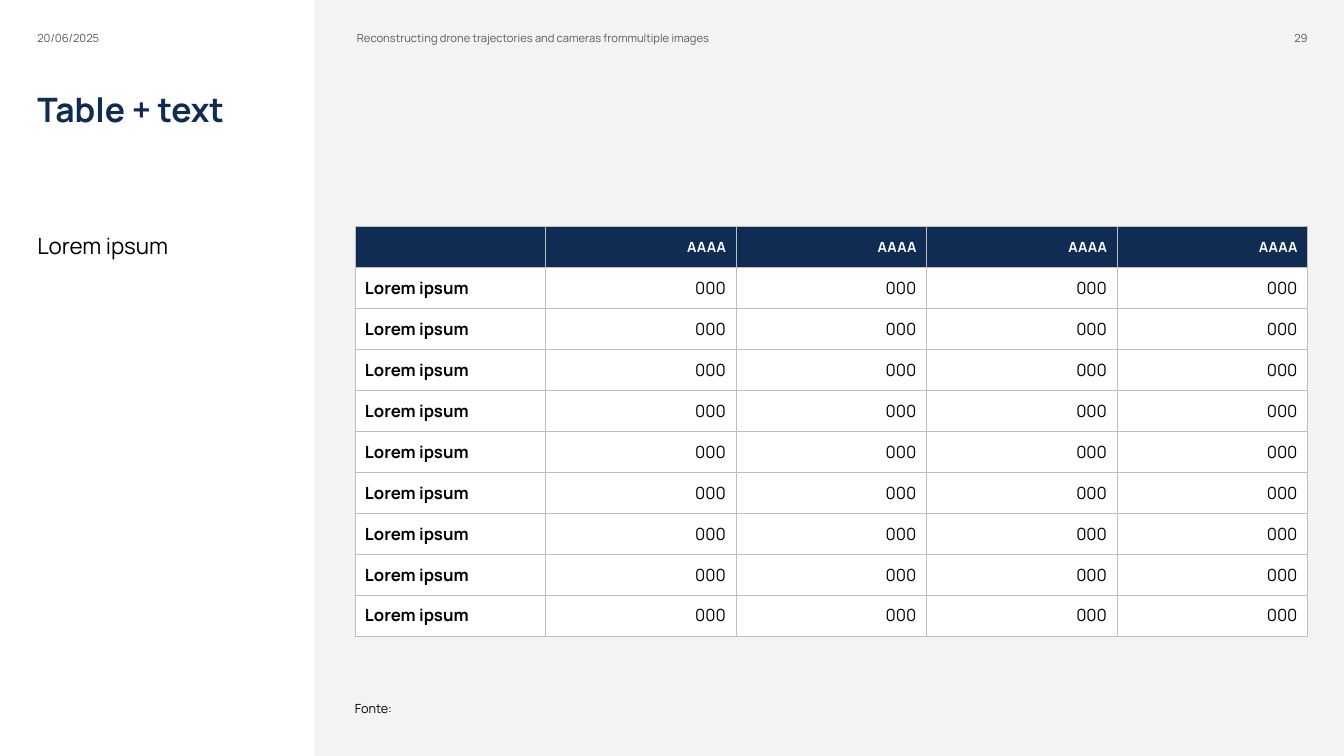
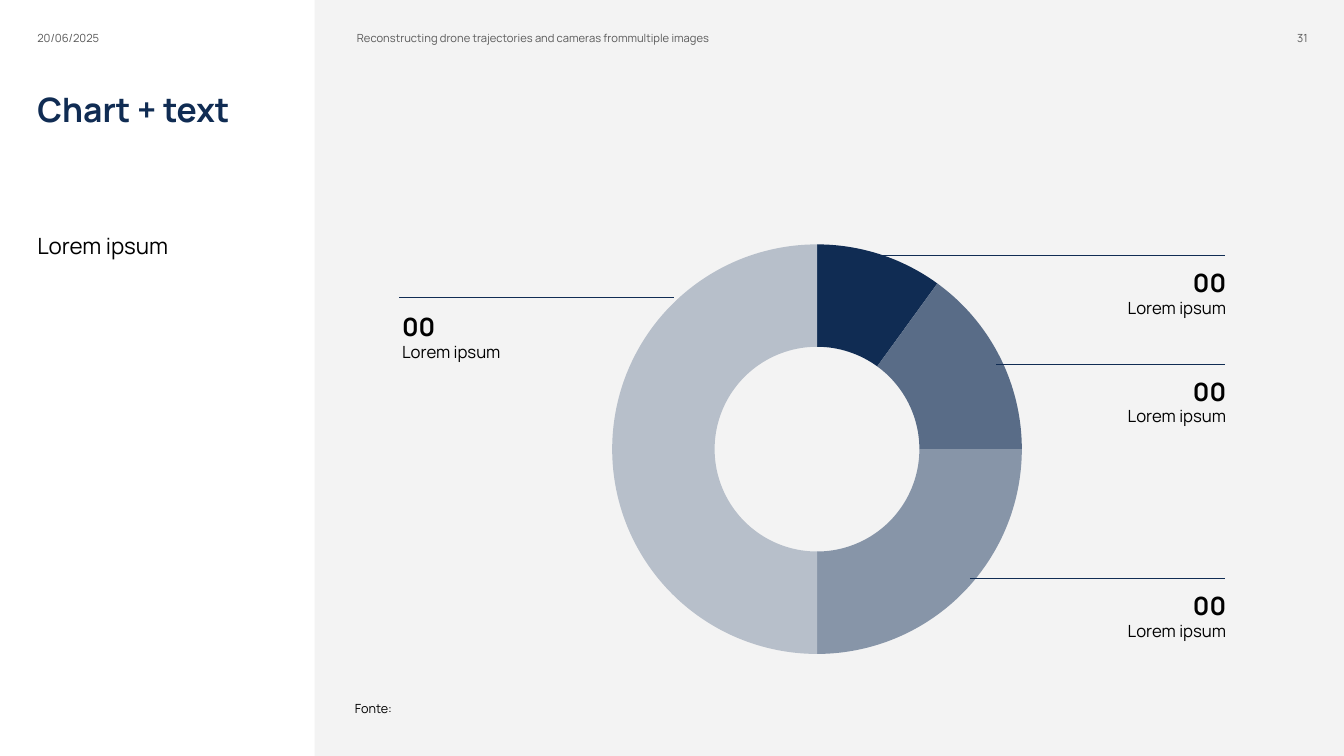
import dataclasses

import pptx
import pptx.chart.data
import pptx.dml.color
import pptx.enum.chart
import pptx.enum.shapes
import pptx.enum.text
import pptx.oxml
import pptx.oxml.ns
import pptx.util

Inches = pptx.util.Inches
Align = pptx.enum.text.PP_ALIGN
Anchor = pptx.enum.text.MSO_ANCHOR


@dataclasses.dataclass(frozen=True)
class Theme:
    font: str = "Manrope"
    navy: str = "102C53"
    black: str = "000000"
    white: str = "FFFFFF"
    grey: str = "595959"
    border: str = "BFBFBF"
    background: str = "F3F3F3"
    slices: tuple = ("102C53", "596C87", "8795A8", "B7BFCA")
    title: int = 24
    figure: int = 18
    body: int = 16
    label: int = 12
    heading: int = 10
    source: int = 9
    header: int = 8
    hairline: float = 0.5


def rgb(colour):
    return pptx.dml.color.RGBColor.from_string(colour)


def assign(target, formats):
    for name, value in formats.items():
        setattr(target, name, value)


def paint(fill, colour):
    fill.solid()
    fill.fore_color.rgb = rgb(colour)


def xml(tag, attributes="", children=""):
    namespaces = pptx.oxml.ns.nsdecls("a", "c")
    return pptx.oxml.parse_xml(f"<{tag} {namespaces} {attributes}>{children}</{tag}>")


class DeckBuilder:
    left, content_left, right = 0.37, 3.52, 12.97
    column, content_top = 2.37, 2.25

    def __init__(self, theme):
        self.theme = theme
        self.deck = pptx.Presentation()
        assign(self.deck, {"slide_width": Inches(13.33), "slide_height": Inches(7.5)})
        self.layout = self.deck.slide_layouts.get_by_name("Two Content")
        paint(self.layout.background.fill, theme.background)
        self.page = None

    def panel(self):
        panel = self.page.shapes.add_shape(
            pptx.enum.shapes.MSO_SHAPE.RECTANGLE, 0, 0, Inches(3.12), self.deck.slide_height)
        paint(panel.fill, self.theme.white)
        panel.line.fill.background()
        panel.shadow.inherit = False
        panel.element.nvSpPr.cNvPr.set("id", "20")
        self.layout.shapes.element.insert(2, panel.element)

    def style(self, font, size, colour, bold=False):
        assign(font, {"name": self.theme.font, "size": pptx.util.Pt(size), "bold": bold})
        font.color.rgb = rgb(colour)

    def add_text(self, paragraph, text, size, colour, bold=False, align=Align.LEFT):
        paragraph.alignment = align
        span = paragraph.add_run()
        span.text = text
        self.style(span.font, size, colour, bold)

    def place(self, box, left, top, width, height):
        assign(box, {"left": Inches(left), "top": Inches(top),
                     "width": Inches(width), "height": Inches(height)})

    def frame(self, box, anchor, margin=0):
        assign(box.text_frame, {
            "word_wrap": True, "auto_size": pptx.enum.text.MSO_AUTO_SIZE.NONE,
            "vertical_anchor": anchor, "margin_left": margin, "margin_right": margin,
            "margin_top": margin // 2, "margin_bottom": margin // 2})
        return box.text_frame

    def placeholder(self, index, text, area, size, colour, bold=False,
                    anchor=Anchor.TOP, spacing=1.0):
        box = self.page.placeholders[index]
        self.place(box, *area)
        para = self.frame(box, anchor).paragraphs[0]
        assign(para, {"line_spacing": spacing, "space_before": pptx.util.Pt(0)})
        properties = para._p.get_or_add_pPr()
        properties.set("marL", "0")
        properties.set("indent", "0")
        properties.append(xml("a:buNone"))
        self.add_text(para, text, size, colour, bold)

    def header(self, text, left, width, align=Align.LEFT):
        box = self.page.shapes.add_textbox(
            Inches(left), Inches(0.04), Inches(width), Inches(0.4))
        para = self.frame(box, Anchor.BOTTOM).paragraphs[0]
        self.add_text(para, text, self.theme.header, self.theme.grey, align=align)

    def start(self, title, number, text, source):
        theme = self.theme
        self.page = self.deck.slides.add_slide(self.layout)
        if len(self.deck.slides) == 1:
            self.panel()
        self.placeholder(0, title, (self.left, 0.88, self.column, 0.92),
                         theme.title, theme.navy, True)
        self.placeholder(1, text, (self.left, self.content_top, self.column, 4.84),
                         theme.body, theme.black, spacing=1.2)
        self.placeholder(2, source, (self.content_left, 6.79, 5.72, 0.31),
                         theme.source, theme.black, anchor=Anchor.BOTTOM, spacing=1.2)
        self.header("20/06/2025", self.left, 2.61)
        self.header("Reconstructing drone trajectories and cameras frommultiple images",
                    3.54, 4.5)
        self.header(number, self.right - 1.14, 1.14, Align.RIGHT)

    def cell(self, cell, text, size, colour, fill, bold, align):
        paint(cell.fill, fill)
        assign(cell, {"vertical_anchor": Anchor.MIDDLE,
                      "margin_top": Inches(0.03), "margin_bottom": Inches(0.03)})
        if text:
            self.add_text(cell.text_frame.paragraphs[0], text, size, colour, bold, align)
        properties = cell._tc.get_or_add_tcPr()
        width = pptx.util.Pt(self.theme.hairline)
        line = f'<a:solidFill><a:srgbClr val="{self.theme.border}"/></a:solidFill>'
        for position, side in enumerate(("lnL", "lnR", "lnT", "lnB")):
            properties.insert(position, xml(f"a:{side}", f'w="{width}"', line))

    def table(self, rows):
        theme = self.theme
        table = self.page.shapes.add_table(
            len(rows), len(rows[0]), Inches(self.content_left), Inches(self.content_top),
            Inches(self.right - self.content_left), Inches(4.06)).table
        assign(table, {"first_row": False, "horz_banding": False})
        for row, texts in enumerate(rows):
            for column, text in enumerate(texts):
                if row == 0:
                    look = (theme.heading, theme.white, theme.navy)
                else:
                    look = (theme.label, theme.black, theme.white)
                self.cell(table.cell(row, column), text, *look,
                          bold=row == 0 or column == 0,
                          align=Align.RIGHT if column else Align.LEFT)

    def doughnut(self, name, categories, values):
        data = pptx.chart.data.CategoryChartData()
        data.categories = categories
        data.add_series(name, values)
        chart = self.page.shapes.add_chart(
            pptx.enum.chart.XL_CHART_TYPE.DOUGHNUT,
            Inches(self.content_left), Inches(self.content_top),
            Inches(self.right - self.content_left), Inches(4.37), data).chart
        assign(chart, {"has_title": False, "has_legend": False})
        self.style(chart.font, self.theme.heading, self.theme.black)
        plot = chart.plots[0]
        assign(plot, {"vary_by_categories": True, "has_data_labels": False})
        for index, colour in enumerate(self.theme.slices):
            point = plot.series[0].points[index].format
            paint(point.fill, colour)
            point.line.fill.background()
        area = chart._chartSpace.chart.plotArea
        for hole in area.iter(pptx.oxml.ns.qn("c:holeSize")):
            hole.set("val", "75")
        for layout in area.findall(pptx.oxml.ns.qn("c:layout")):
            area.remove(layout)
        settings = (("layoutTarget", "inner"), ("xMode", "edge"), ("yMode", "edge"),
                    ("x", 0.27), ("y", 0.04), ("w", 0.43), ("h", 0.93))
        children = "".join(f'<c:{tag} val="{value}"/>' for tag, value in settings)
        area.insert(0, xml("c:layout", children=f"<c:manualLayout>{children}</c:manualLayout>"))

    def callout(self, figure, label, start, end, height, text_left, text_top, align):
        theme = self.theme
        line = self.page.shapes.add_connector(
            pptx.enum.shapes.MSO_CONNECTOR.STRAIGHT,
            Inches(start), Inches(height), Inches(end), Inches(height))
        line.line.color.rgb = rgb(theme.navy)
        line.line.width = pptx.util.Pt(theme.hairline)
        line.element.spPr.append(xml("a:effectLst"))
        box = self.page.shapes.add_textbox(
            Inches(text_left), Inches(text_top), Inches(1.88), Inches(0.61))
        frame = self.frame(box, Anchor.TOP, Inches(0.1))
        self.add_text(frame.paragraphs[0], figure, theme.figure, theme.black, True, align)
        self.add_text(frame.add_paragraph(), label, theme.label, theme.black, align=align)


def main():
    builder = DeckBuilder(Theme())
    builder.start("Table + text", "29", "Lorem ipsum", "Fonte:")
    builder.table([[""] + ["AAAA"] * 4] + [["Lorem ipsum"] + ["000"] * 4] * 9)

    builder.start("Chart + text", "31", "Lorem ipsum", "Fonte:")
    builder.doughnut("Series 1", ["1", "2", "3", "4"], [10, 15, 25, 50])
    for start, height in ((8.53, 2.53), (9.88, 3.61), (9.62, 5.74)):
        builder.callout("00", "Lorem ipsum", start, 12.15, height,
                        10.38, height + 0.07, Align.RIGHT)
    builder.callout("00", "Lorem ipsum", 3.96, 6.68, 2.95, 3.89, 3.04, Align.LEFT)
    builder.deck.save("out.pptx")


if __name__ == "__main__":
    main()
